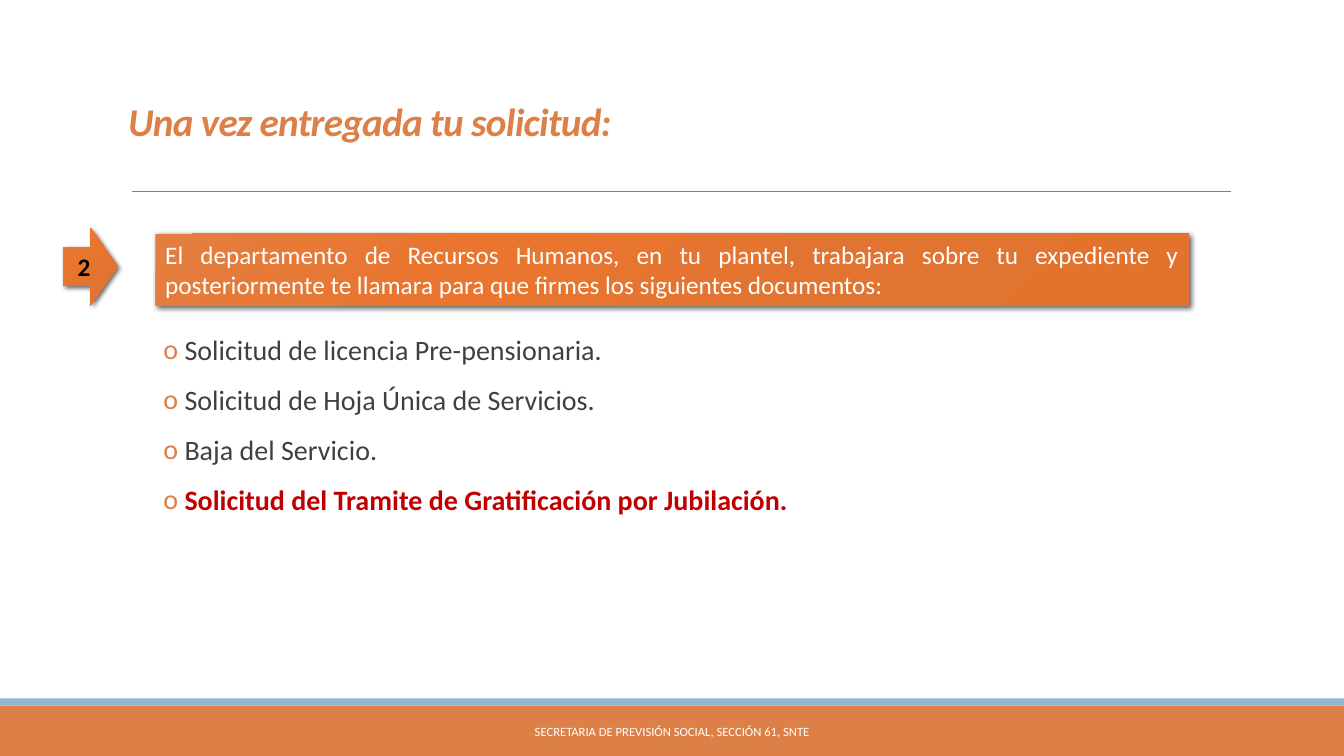
from dataclasses import dataclass

from lxml import etree
from pptx import Presentation
from pptx.dml.color import RGBColor
from pptx.enum.shapes import MSO_CONNECTOR, MSO_SHAPE
from pptx.enum.text import MSO_ANCHOR, MSO_AUTO_SIZE, PP_ALIGN
from pptx.oxml import parse_xml
from pptx.oxml.ns import nsdecls, qn
from pptx.util import Inches, Pt

RECTANGLE, ARROW = MSO_SHAPE.RECTANGLE, MSO_SHAPE.RIGHT_ARROW
LEFT, CENTER, JUSTIFY = PP_ALIGN.LEFT, PP_ALIGN.CENTER, PP_ALIGN.JUSTIFY
TOP, MIDDLE, BOTTOM = MSO_ANCHOR.TOP, MSO_ANCHOR.MIDDLE, MSO_ANCHOR.BOTTOM
WIDTH, HEIGHT = 13.33, 7.5


@dataclass(frozen=True)
class Theme:
    font: str = "Calibri"
    accent: str = "DD8047"
    stripe: str = "94B6D2"
    rule: str = "808080"
    body: str = "404040"
    alert: str = "C00000"
    light: str = "FFFFFF"
    dark: str = "000000"
    gradient: tuple = ((0, "E3722D"), (34, "E27431"), (70, "E9752E"), (100, "E47E40"))
    title_size: int = 28
    list_size: int = 20
    step_size: int = 18
    footer_size: int = 9


THEME = Theme()


def place(shape, box):
    shape.left, shape.top, shape.width, shape.height = map(Inches, box)


def style(paragraph, size, color, align=LEFT, bold=False, italic=False):
    paragraph.alignment = align
    font = paragraph.font
    font.name, font.size = THEME.font, Pt(size)
    font.bold, font.italic = bold, italic
    font.color.rgb = RGBColor.from_string(color)


def set_frame(shape, anchor):
    frame = shape.text_frame
    frame.word_wrap = True
    frame.auto_size = MSO_AUTO_SIZE.NONE
    frame.vertical_anchor = anchor
    return frame


def add_block(slide, kind, box, color=None):
    shape = slide.shapes.add_shape(kind, *map(Inches, box))
    shape.shadow.inherit = False
    shape.line.fill.background()
    if color:
        shape.fill.solid()
        shape.fill.fore_color.rgb = RGBColor.from_string(color)
    return shape


def add_glossy_block(slide, kind, box):
    """Add a shape with the radial orange gradient and a soft drop shadow."""
    shape = add_block(slide, kind, box)
    shape.fill.gradient()
    properties = shape.element.spPr
    gradient = properties.find(qn("a:gradFill"))
    gradient.clear()
    stops = etree.SubElement(gradient, qn("a:gsLst"))
    for position, color in THEME.gradient:
        stop = etree.SubElement(stops, qn("a:gs"), pos=str(position * 1000))
        etree.SubElement(stop, qn("a:srgbClr"), val=color)
    radial = etree.SubElement(gradient, qn("a:path"), path="circle")
    etree.SubElement(radial, qn("a:fillToRect"), l="100000", t="100000")
    properties.find(qn("a:effectLst")).append(parse_xml(
        f'<a:outerShdw {nsdecls("a")} blurRad="{Pt(3.5)}" dist="{Pt(2)}" dir="2700000">'
        f'<a:srgbClr val="{THEME.dark}"><a:alpha val="60000"/></a:srgbClr></a:outerShdw>'))
    return shape


def add_title(slide, box, text):
    title = slide.shapes.title
    place(title, box)
    frame = set_frame(title, BOTTOM)
    frame.margin_bottom = Inches(0.5)
    frame.text = text
    paragraph = frame.paragraphs[0]
    paragraph.line_spacing = 0.85
    style(paragraph, THEME.title_size, THEME.accent, bold=True, italic=True)
    paragraph.font._element.set("spc", "-50")


def add_rule(slide, left, right, top):
    rule = slide.shapes.add_connector(
        MSO_CONNECTOR.STRAIGHT, *map(Inches, (left, top, right, top)))
    rule.line.color.rgb = RGBColor.from_string(THEME.rule)
    rule.line.width = Pt(0.5)
    etree.SubElement(rule.element.spPr, qn("a:effectLst"))


def add_step(slide, box, number, text):
    """Place a numbered arrow at the left of the box and its banner at the right."""
    left, top, width, height = box
    arrow_width, gap, drop = 0.54, 0.37, 0.06
    banner_offset = arrow_width + gap
    banner = add_glossy_block(slide, RECTANGLE, (
        left + banner_offset, top + drop, width - banner_offset, height - drop))
    arrow = add_glossy_block(slide, ARROW, (left, top, arrow_width, height))
    for shape, content, anchor, align, color in (
            (banner, text, TOP, JUSTIFY, THEME.light),
            (arrow, number, MIDDLE, CENTER, THEME.dark)):
        frame = set_frame(shape, anchor)
        frame.text = content
        style(frame.paragraphs[0], THEME.step_size, color, align, bold=shape is arrow)


def add_documents(slide, box, documents, highlighted):
    body = slide.placeholders[1]
    place(body, box)
    frame = set_frame(body, TOP)
    frame.margin_left = frame.margin_right = 0
    frame.text = "\n".join(documents)
    indent = Inches(0.21)
    for index, paragraph in enumerate(frame.paragraphs):
        paragraph.line_spacing = 0.9
        paragraph.space_before = Pt(12 if index else 0)
        paragraph.space_after = Pt(2)
        properties = paragraph._p.get_or_add_pPr()
        properties.set("marL", str(indent))
        properties.set("indent", str(-indent))
        color = etree.SubElement(properties, qn("a:buClr"))
        etree.SubElement(color, qn("a:srgbClr"), val=THEME.accent)
        etree.SubElement(properties, qn("a:buFont"), typeface=THEME.font)
        etree.SubElement(properties, qn("a:buChar"), char="o")
        marked = documents[index] == highlighted
        style(paragraph, THEME.list_size, THEME.alert if marked else THEME.body, bold=marked)


def add_footer(slide, box, text):
    left, top, width, height = box
    stripe = 0.07
    add_block(slide, RECTANGLE, (left, top + stripe, width, height - stripe), THEME.accent)
    add_block(slide, RECTANGLE, (left, top, width, stripe), THEME.stripe)
    label_width = 5.27
    label = slide.shapes.add_textbox(*map(Inches, (
        left + (width - label_width) / 2, top + 0.13, label_width, 0.4)))
    frame = set_frame(label, MIDDLE)
    frame.text = text
    style(frame.paragraphs[0], THEME.footer_size, THEME.light, CENTER)


def main():
    presentation = Presentation()
    presentation.slide_width, presentation.slide_height = Inches(WIDTH), Inches(HEIGHT)
    slide = presentation.slides.add_slide(presentation.slide_layouts[1])
    add_footer(slide, (0, 6.93, WIDTH, HEIGHT - 6.93),
               "SECRETARIA DE PREVISIÓN SOCIAL, SECCIÓN 61, SNTE")
    add_rule(slide, 1.31, 12.21, 1.9)
    add_title(slide, (1.17, 0.34, 11, 1.59), "Una vez entregada tu solicitud:")
    gratification = "Solicitud del Tramite de Gratificación por Jubilación."
    add_documents(slide, (1.62, 3.29, 10.09, 2.9), (
        "Solicitud de licencia Pre-pensionaria.",
        "Solicitud de Hoja Única de Servicios.",
        "Baja del Servicio.",
        gratification), gratification)
    add_step(slide, (0.63, 2.26, 11.16, 0.77), "2",
             "El departamento de Recursos Humanos, en tu plantel, trabajara sobre tu "
             "expediente y posteriormente te llamara para que firmes los siguientes documentos:")
    presentation.save("out.pptx")


if __name__ == "__main__":
    main()
